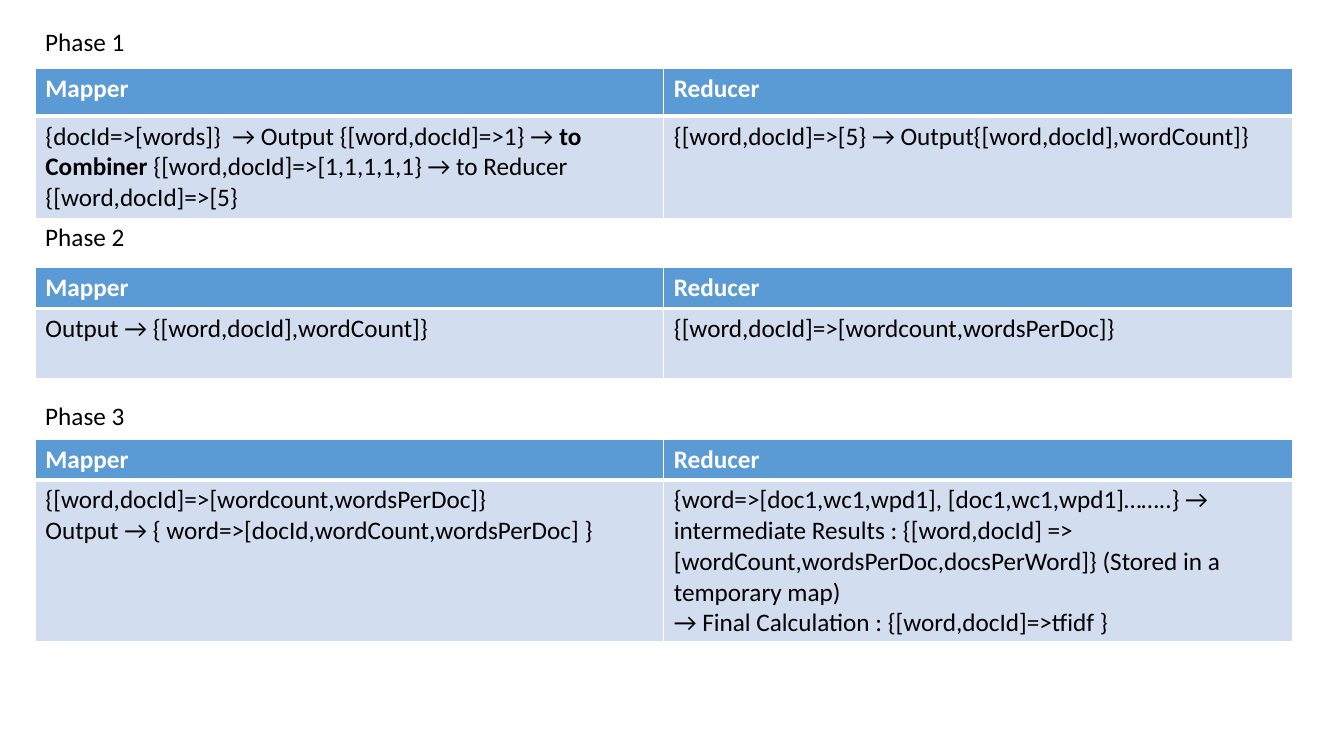
import pptx
import pptx.util
import pptx.dml.color
import pptx.oxml.ns
import lxml.etree

COLOURS = {"header": "5B9BD5", "body": "D2DEEF", "light": "FFFFFF", "dark": "000000"}

# Places are percentages of the slide's width or height
LEFT, COLUMN, LABEL_WIDTH, LABEL_HEIGHT = 2.63, 46.76, 27.75, 5.33
HEADINGS = ["Mapper", "Reducer"]

# Each cell is a list of paragraphs, each paragraph a list of (text, bold) spans
PHASES = [
    {"name": "Phase 1", "label_top": 2.8, "table_top": 9.07, "rows": [6.27, 13.33],
     "cells": [
         [[("{docId=>[words]}  → Output {[word,docId]=>1} → ", False),
           ("to Combiner ", True),
           ("{[word,docId]=>[1,1,1,1,1} → to Reducer {[word,docId]=>[5}", False)]],
         [[("{[word,docId]=>[5} → Output{[word,docId],wordCount]}", False)]]]},
    {"name": "Phase 2", "label_top": 28.67, "table_top": 35.33, "rows": [5.47, 9.33],
     "cells": [
         [[("Output → {[word,docId],wordCount]}", False)]],
         [[("{[word,docId]=>[wordcount,wordsPerDoc]}", False)]]]},
    {"name": "Phase 3", "label_top": 52.27, "table_top": 58.13, "rows": [5.33, 21.33],
     "cells": [
         [[("{[word,docId]=>[wordcount,wordsPerDoc]}", False)],
          [("Output → { word=>[docId,wordCount,wordsPerDoc] }", False)]],
         [[("{word=>[doc1,wc1,wpd1], [doc1,wc1,wpd1]……..} → intermediate Results : "
            "{[word,docId] => [wordCount,wordsPerDoc,docsPerWord]} "
            "(Stored in a temporary map)", False)],
          [("→ Final Calculation : {[word,docId]=>tfidf }", False)]]]},
]


class PhasePage:
    """Holds the text style and the current slide."""

    def __init__(self, deck, font="Calibri", size=18):
        self.page = deck.slides.add_slide(deck.slide_layouts[6])
        self.width, self.height = deck.slide_width, deck.slide_height
        self.font, self.size = font, size

    def across(self, share):
        return int(self.width * share / 100)

    def down(self, share):
        return int(self.height * share / 100)

    def set_text(self, frame, paragraphs, colour, bold=False):
        for index, spans in enumerate(paragraphs):
            para = frame.paragraphs[0] if index == 0 else frame.add_paragraph()
            para.font.name = self.font
            para.font.size = pptx.util.Pt(self.size)
            para.font.bold = bold
            para.font.color.rgb = pptx.dml.color.RGBColor.from_string(COLOURS[colour])
            for text, strong in spans:
                span = para.add_run()
                span.text = text
                if strong != bold:
                    span.font.bold = strong

    def label(self, text, top):
        box = self.page.shapes.add_textbox(
            self.across(LEFT), self.down(top),
            self.across(LABEL_WIDTH), self.down(LABEL_HEIGHT))
        box.text_frame.word_wrap = True
        self.set_text(box.text_frame, [[(text, False)]], "dark")

    def border(self, cell, widths):
        properties = cell._tc.get_or_add_tcPr()
        for place, (side, points) in enumerate(widths.items()):
            line = lxml.etree.Element(pptx.oxml.ns.qn("a:ln" + side),
                                      w=str(pptx.util.Pt(points)))
            fill = lxml.etree.SubElement(line, pptx.oxml.ns.qn("a:solidFill"))
            lxml.etree.SubElement(fill, pptx.oxml.ns.qn("a:srgbClr"), val=COLOURS["light"])
            properties.insert(place, line)

    def fill_cell(self, cell, paragraphs, fill, colour, bold, widths):
        cell.fill.solid()
        cell.fill.fore_color.rgb = pptx.dml.color.RGBColor.from_string(COLOURS[fill])
        self.border(cell, widths)
        self.set_text(cell.text_frame, paragraphs, colour, bold)

    def table(self, top, row_heights, cells):
        table = self.page.shapes.add_table(
            2, 2, self.across(LEFT), self.down(top),
            self.across(2 * COLUMN), self.down(sum(row_heights))).table
        table.horz_banding = False
        for row, height in zip(table.rows, row_heights):
            row.height = self.down(height)
        for index, heading in enumerate(HEADINGS):
            table.columns[index].width = self.across(COLUMN)
            self.fill_cell(table.cell(0, index), [[(heading, True)]], "header", "light",
                           True, {"L": 1, "R": 1, "T": 1, "B": 3})
            # The heavy line under the header also tops the body row
            self.fill_cell(table.cell(1, index), cells[index], "body", "dark",
                           False, {"L": 1, "R": 1, "B": 1})


def main():
    deck = pptx.Presentation()
    deck.slide_width = pptx.util.Inches(13.33)
    deck.slide_height = pptx.util.Inches(7.5)
    page = PhasePage(deck)
    # One label and one table for each phase
    for phase in PHASES:
        page.table(phase["table_top"], phase["rows"], phase["cells"])
        page.label(phase["name"], phase["label_top"])
    deck.save("out.pptx")


if __name__ == "__main__":
    main()
